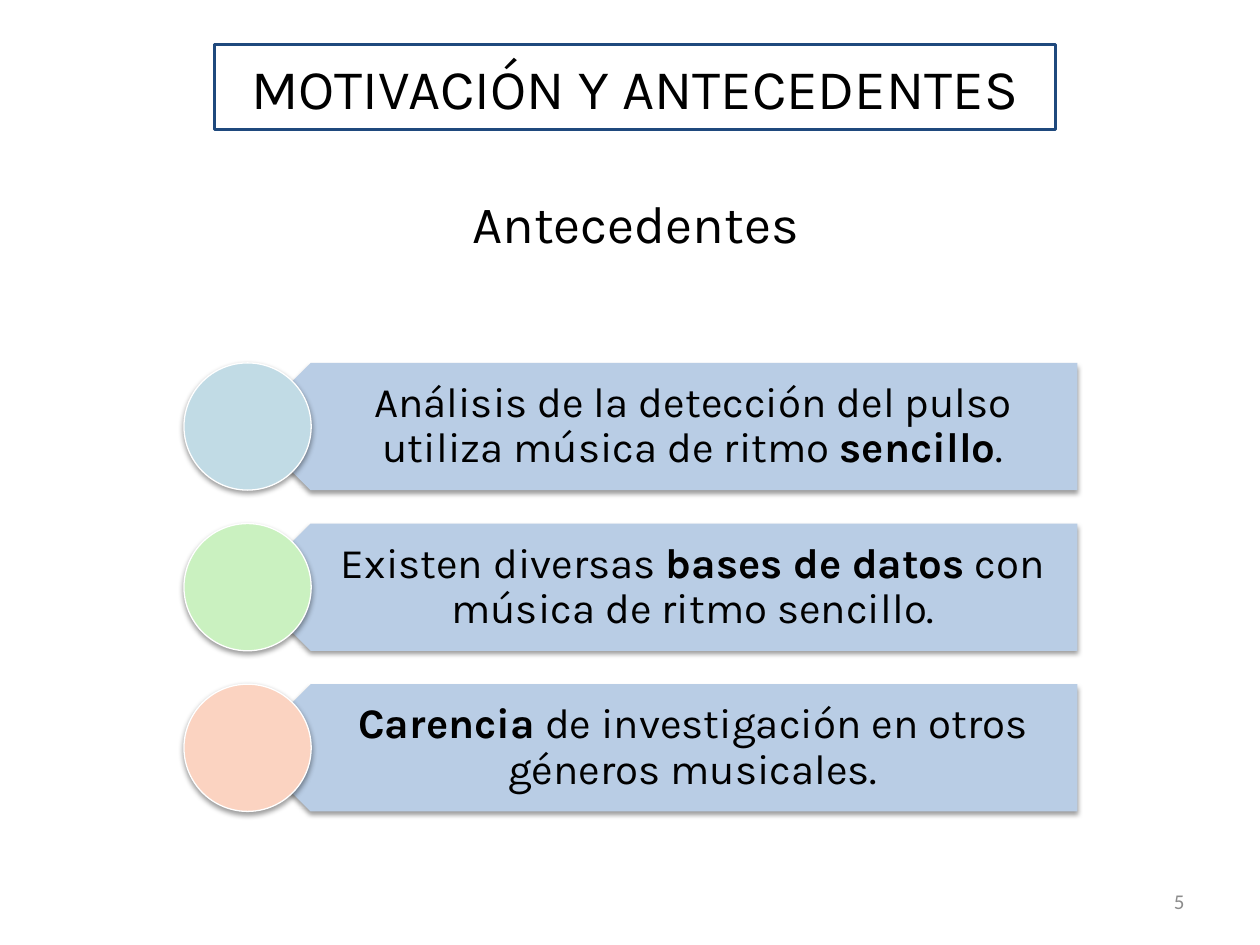
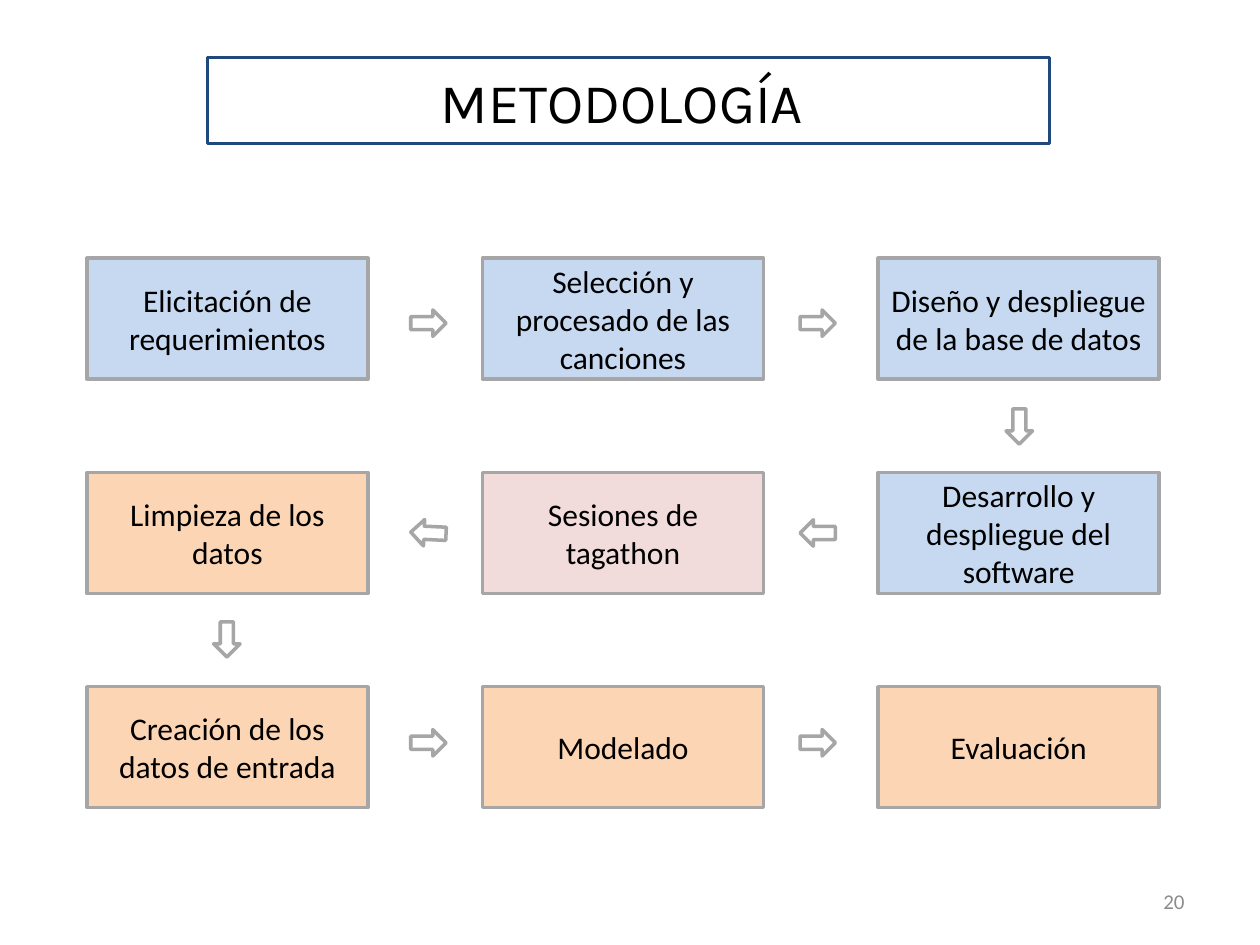
from dataclasses import dataclass
from lxml.etree import SubElement
from pptx import Presentation
from pptx.dml.color import RGBColor as Color
from pptx.enum.shapes import MSO_SHAPE as Shape
from pptx.enum.text import MSO_ANCHOR as Anchor, MSO_AUTO_SIZE as AutoSize, PP_ALIGN as Align
from pptx.oxml.ns import qn
from pptx.util import Inches, Pt


@dataclass(frozen=True)
class Theme:
    heading: str = "Karla"
    body: str = "Calibri"
    ink: str = "000000"
    paper: str = "FFFFFF"
    muted: str = "8C8C8C"
    navy: str = "1F497D"
    outline: str = "A6A6A6"
    bar: str = "B9CDE5"
    blue: str = "C6D9F1"
    pink: str = "F2DCDB"
    orange: str = "FCD5B5"
    title_size: int = 32
    subtitle_size: int = 30
    bar_size: int = 24
    step_size: int = 18
    number_size: int = 12


theme = Theme()


def write(box, text, font, size, color=theme.ink, align=Align.CENTER, anchor=Anchor.MIDDLE):
    frame = box.text_frame
    frame.word_wrap = True
    frame.auto_size = AutoSize.NONE
    frame.vertical_anchor = anchor
    para = frame.paragraphs[0]
    para.alignment = align
    for index, part in enumerate(text.split("*")):
        if part:
            span = para.add_run()
            span.text = part
            span.font.name = font
            span.font.size = Pt(size)
            span.font.bold = index % 2 == 1
            span.font.color.rgb = Color.from_string(color)
    return para


def draw(page, kind, bounds, fill, line=None, width=2, shadow=False):
    shape = page.shapes.add_shape(kind, *map(Inches, bounds))
    shape.shadow.inherit = False
    shape.fill.solid()
    shape.fill.fore_color.rgb = Color.from_string(fill)
    if line:
        shape.line.color.rgb = Color.from_string(line)
        shape.line.width = Pt(width)
    else:
        shape.line.fill.background()
    if shadow:
        effects = shape.element.spPr.find(qn("a:effectLst"))
        outer = SubElement(effects, qn("a:outerShdw"), blurRad=str(Pt(3.1)),
                           dist=str(Pt(1.6)), dir="5400000", rotWithShape="0")
        black = SubElement(outer, qn("a:srgbClr"), val=theme.ink)
        SubElement(black, qn("a:alpha"), val="38000")
    return shape


deck = Presentation()
deck.slide_width, deck.slide_height = Inches(10), Inches(7.5)

pages = []
for heading, number, left, top in [
    ("MOTIVACIÓN Y ANTECEDENTES", "5", 1.7, 0.35),
    ("METODOLOGÍA ", "20", 1.65, 0.46),
]:
    page = deck.slides.add_slide(deck.slide_layouts[5])
    title = page.shapes.title
    title.left, title.top, title.width, title.height = map(Inches, (left, top, 6.68, 0.68))
    title.line.color.rgb = Color.from_string(theme.navy)
    title.line.width = Pt(1.75)
    write(title, heading, theme.heading, theme.title_size)
    number_box = page.shapes.add_textbox(*map(Inches, (7.17, 6.95, 2.33, 0.4)))
    write(number_box, number, theme.body, theme.number_size, theme.muted, Align.RIGHT)
    pages.append(page)

background, methodology = pages

subtitle = background.shapes.add_textbox(*map(Inches, (0.59, 1.47, 8.91, 0.61)))
write(subtitle, "Antecedentes", theme.heading, theme.subtitle_size, anchor=Anchor.TOP)

bar_top, bar_pitch, bar_height = 2.88, 1.275, 1.01
findings = [
    ("Análisis de la detección del pulso utiliza música de ritmo *sencillo*.", "C1DBE5"),
    ("Existen diversas *bases de datos* con música de ritmo sencillo.", "CAF1C0"),
    ("*Carencia* de investigación en otros géneros musicales.", "FBD3C1"),
]
for row, (finding, disc_color) in enumerate(findings):
    top = bar_top + row * bar_pitch
    bar = draw(background, Shape.PENTAGON, (1.96, top, 6.59, bar_height), theme.bar, shadow=True)
    bar.rotation = 180
    label = background.shapes.add_textbox(*map(Inches, (2.21, top, 6.33, bar_height)))
    frame = label.text_frame
    frame.margin_left, frame.margin_right = Inches(0.44), Inches(0.19)
    frame.margin_top = frame.margin_bottom = Inches(0.1)
    write(label, finding, theme.heading, theme.bar_size).line_spacing = 0.9
    draw(background, Shape.OVAL, (1.46, top, bar_height, bar_height), disc_color,
         theme.paper, 0.75, shadow=True)

step_left, step_top, column_pitch, row_pitch = 0.69, 2.05, 3.14, 1.7
steps = [
    [("Elicitación de requerimientos", theme.blue),
     ("Selección y procesado de las canciones", theme.blue),
     ("Diseño y despliegue de la base de datos", theme.blue)],
    [("Limpieza de los datos", theme.orange),
     ("Sesiones de tagathon", theme.pink),
     ("Desarrollo y despliegue del software", theme.blue)],
    [("Creación de los datos de entrada", theme.orange),
     ("Modelado", theme.orange),
     ("Evaluación", theme.orange)],
]
for row, row_steps in enumerate(steps):
    for column, (step, fill) in enumerate(row_steps):
        bounds = (step_left + column * column_pitch, step_top + row * row_pitch, 2.23, 0.96)
        write(draw(methodology, Shape.RECTANGLE, bounds, fill, theme.outline),
              step, theme.body, theme.step_size)

arrows = [(3.26 + column * 3.09, 2.46 + row * 1.665, angle)
          for row, angles in enumerate([(0, 0), (182.7, 180), (0, 0)])
          for column, angle in enumerate(angles)]
arrows += [(7.95, 3.28, 90), (1.66, 4.97, 90)]
for left, top, angle in arrows:
    arrow = draw(methodology, Shape.RIGHT_ARROW, (left, top, 0.28, 0.21), theme.paper, theme.outline)
    arrow.rotation = angle

deck.save("out.pptx")
